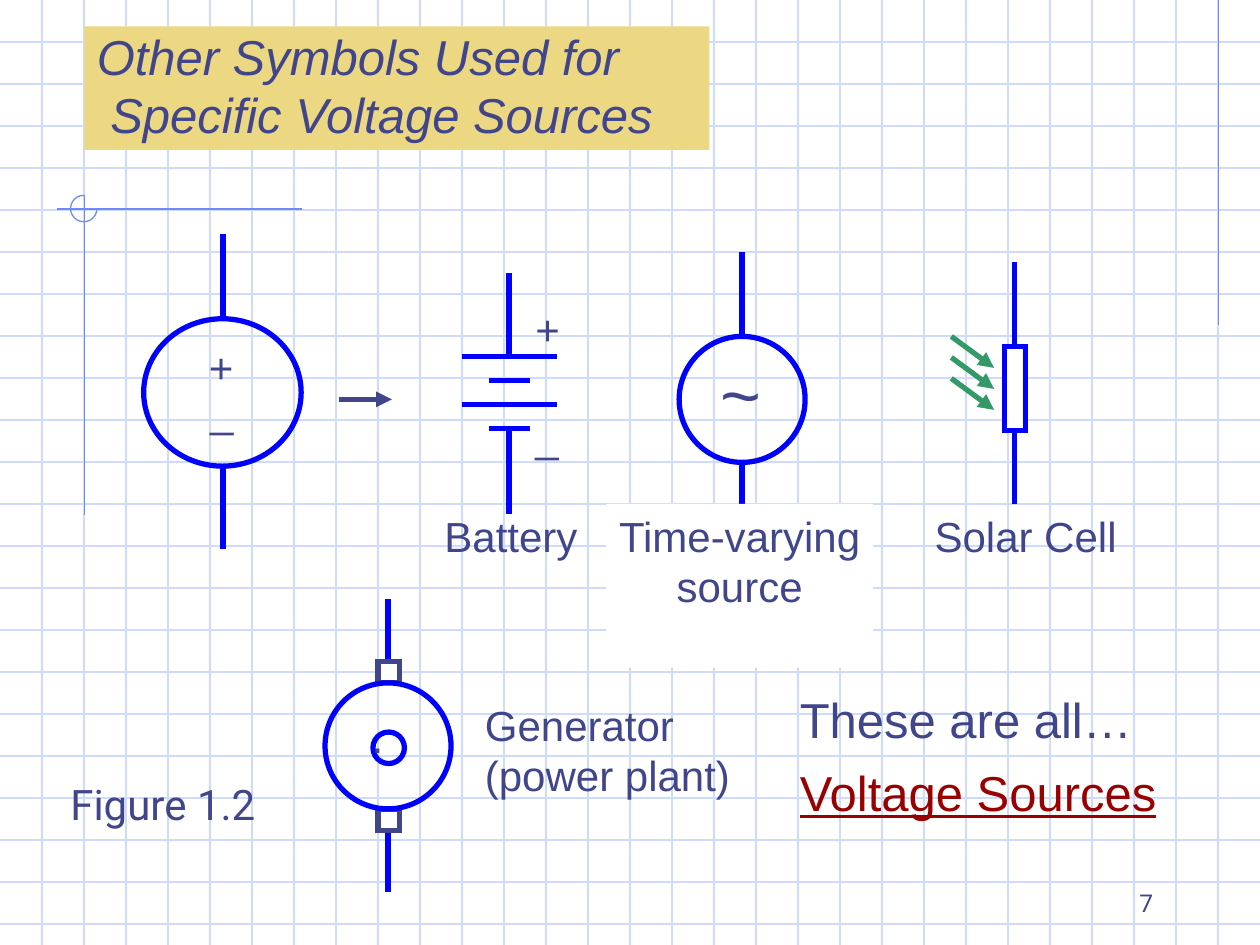
from dataclasses import dataclass

from lxml.etree import SubElement
from pptx import Presentation
from pptx.dml.color import RGBColor
from pptx.enum.shapes import MSO_CONNECTOR, MSO_SHAPE
from pptx.enum.text import MSO_ANCHOR, MSO_AUTO_SIZE, PP_ALIGN
from pptx.oxml.ns import qn
from pptx.util import Inches, Pt


@dataclass(frozen=True)
class Theme:
    ink: str = "40458C"
    wire: str = "0000FF"
    grid: str = "CFDBFD"
    rule: str = "6F89F7"
    light: str = "339966"
    accent: str = "990000"
    banner: str = "ECD882"
    white: str = "FFFFFF"
    font: str = "Arial"
    figure_font: str = "Roboto"
    number_size: int = 14
    label_size: int = 24
    title_size: int = 28
    wave_size: int = 40
    thin: float = 0.75
    thick: float = 3


theme = Theme()
deck = Presentation()
deck.slide_width, deck.slide_height = Inches(10), Inches(7.5)
page = deck.slides.add_slide(deck.slide_layouts[6])


def draw_line(x1, y1, x2, y2, color=theme.wire, width=theme.thick, arrow=False):
    line = page.shapes.add_connector(
        MSO_CONNECTOR.STRAIGHT, Inches(x1), Inches(y1), Inches(x2), Inches(y2))
    line.line.color.rgb = RGBColor.from_string(color)
    line.line.width = Pt(width)
    if arrow:
        SubElement(line.line._get_or_add_ln(), qn("a:tailEnd"), type="triangle")
    SubElement(line._element.spPr, qn("a:effectLst"))


def write(text, left, top, width, height, size=theme.label_size, align=PP_ALIGN.LEFT,
          color=theme.ink, font=theme.font, wrap=False, fill=None,
          anchor=MSO_ANCHOR.TOP, italic=False, underline=False):
    box = page.shapes.add_textbox(Inches(left), Inches(top), Inches(width), Inches(height))
    if fill:
        box.fill.solid()
        box.fill.fore_color.rgb = RGBColor.from_string(fill)
    frame = box.text_frame
    frame.word_wrap = wrap
    frame.auto_size = MSO_AUTO_SIZE.NONE if wrap else MSO_AUTO_SIZE.SHAPE_TO_FIT_TEXT
    frame.vertical_anchor = anchor
    frame.text = text
    para = frame.paragraphs[0]
    para.alignment = align
    for span in para.runs:
        span.font.name = font
        span.font.size = Pt(size)
        span.font.color.rgb = RGBColor.from_string(color)
        span.font.italic = italic
        span.font.underline = underline


for step in range(1, 23):
    draw_line(0, step / 3, 10, step / 3, theme.grid, theme.thin)
for step in range(1, 30):
    draw_line(step / 3, 0, step / 3, 7.5, theme.grid, theme.thin)

for ends in [(9.67, 0, 9.67, 2.58), (2.4, 1.66, 0.45, 1.66), (0.67, 1.55, 0.67, 4.09)]:
    draw_line(*ends, theme.rule, theme.thin)
corner = page.shapes.add_shape(
    MSO_SHAPE.ARC, Inches(0.56), Inches(1.55), Inches(0.21), Inches(0.21))
corner.adjustments[0] = 0
corner.adjustments[1] = 162
corner.shadow.inherit = False
corner.fill.background()
corner.line.color.rgb = RGBColor.from_string(theme.rule)
corner.line.width = Pt(theme.thin)

leads = [
    (1.77, 1.86, 2.53), (1.77, 3.69, 4.36),
    (4.04, 2.17, 2.83), (4.04, 3.42, 4.08),
    (5.89, 2, 2.67), (5.89, 3.67, 4.33),
    (8.05, 2.08, 2.75), (8.05, 3.42, 4),
    (3.08, 4.75, 5.42), (3.08, 6.42, 7.08),
]
for x, top, bottom in leads:
    draw_line(x, top, x, bottom)

for plate in range(4):
    left, right = (3.88, 4.21) if plate % 2 else (3.67, 4.42)
    draw_line(left, 2.83 + 0.19 * plate, right, 2.83 + 0.19 * plate)

draw_line(2.69, 3.17, 3.11, 3.17, theme.ink, arrow=True)
for ray in range(3):
    top = 2.67 + ray / 6
    draw_line(7.55, top, 7.89, top + 0.25, theme.light, arrow=True)

outlines = [
    (MSO_SHAPE.OVAL, 1.14, 2.53, 1.25, 1.17, theme.wire, None),
    (MSO_SHAPE.OVAL, 5.39, 2.67, 1, 1, theme.wire, None),
    (MSO_SHAPE.RECTANGLE, 7.97, 2.75, 0.17, 0.67, theme.wire, theme.white),
    (MSO_SHAPE.OVAL, 2.96, 5.81, 0.25, 0.25, theme.wire, None),
    (MSO_SHAPE.RECTANGLE, 3, 5.25, 0.17, 0.17, theme.ink, theme.white),
    (MSO_SHAPE.RECTANGLE, 3, 6.42, 0.17, 0.17, theme.ink, theme.white),
    (MSO_SHAPE.OVAL, 2.58, 5.42, 1, 1, theme.wire, None),
]
for kind, left, top, width, height, color, fill in outlines:
    outline = page.shapes.add_shape(
        kind, Inches(left), Inches(top), Inches(width), Inches(height))
    outline.shadow.inherit = False
    outline.line.color.rgb = RGBColor.from_string(color)
    outline.line.width = Pt(theme.thick)
    SubElement(outline.line._get_or_add_ln(), qn("a:miter"), lim="800000")
    if fill:
        outline.fill.solid()
        outline.fill.fore_color.rgb = RGBColor.from_string(fill)
    else:
        outline.fill.background()

write("Other Symbols Used for\v Specific Voltage Sources", 0.67, 0.21, 4.96, 0.98,
      theme.title_size, wrap=True, fill=theme.banner,
      anchor=MSO_ANCHOR.BOTTOM, italic=True)

for sign, left, top in [("+", 1.56, 2.66), ("_", 1.57, 3.01),
                        ("+", 4.15, 2.36), ("_", 4.15, 3.21)]:
    write(sign, left, top, 0.39, 0.5)
write("~", 5.62, 2.73, 0.52, 0.77, theme.wave_size)
write(".", 2.85, 5.6, 0.29, 0.5)

write("Battery", 3.38, 4, 1.35, 0.5, align=PP_ALIGN.CENTER)
write("Time-varying\vsource", 4.81, 4, 2.12, 1.3, align=PP_ALIGN.CENTER,
      wrap=True, fill=theme.white)
write("Solar Cell", 7.27, 4, 1.74, 0.5, align=PP_ALIGN.CENTER)
write("Generator\v(power plant)", 3.75, 5.5, 3.58, 0.9, wrap=True)

write("These are all…", 6.25, 5.42, 3.08, 1.04, theme.title_size, wrap=True)
write("Voltage Sources", 6.25, 6, 3.33, 1.04, theme.title_size, color=theme.accent,
      wrap=True, underline=True)
write("Figure 1.2", 0.46, 6.13, 1.75, 0.5, font=theme.figure_font)
write("7", 7.17, 6.83, 2.08, 0.5, theme.number_size, PP_ALIGN.RIGHT,
      font=theme.figure_font, wrap=True, anchor=MSO_ANCHOR.BOTTOM)

deck.save("out.pptx")
